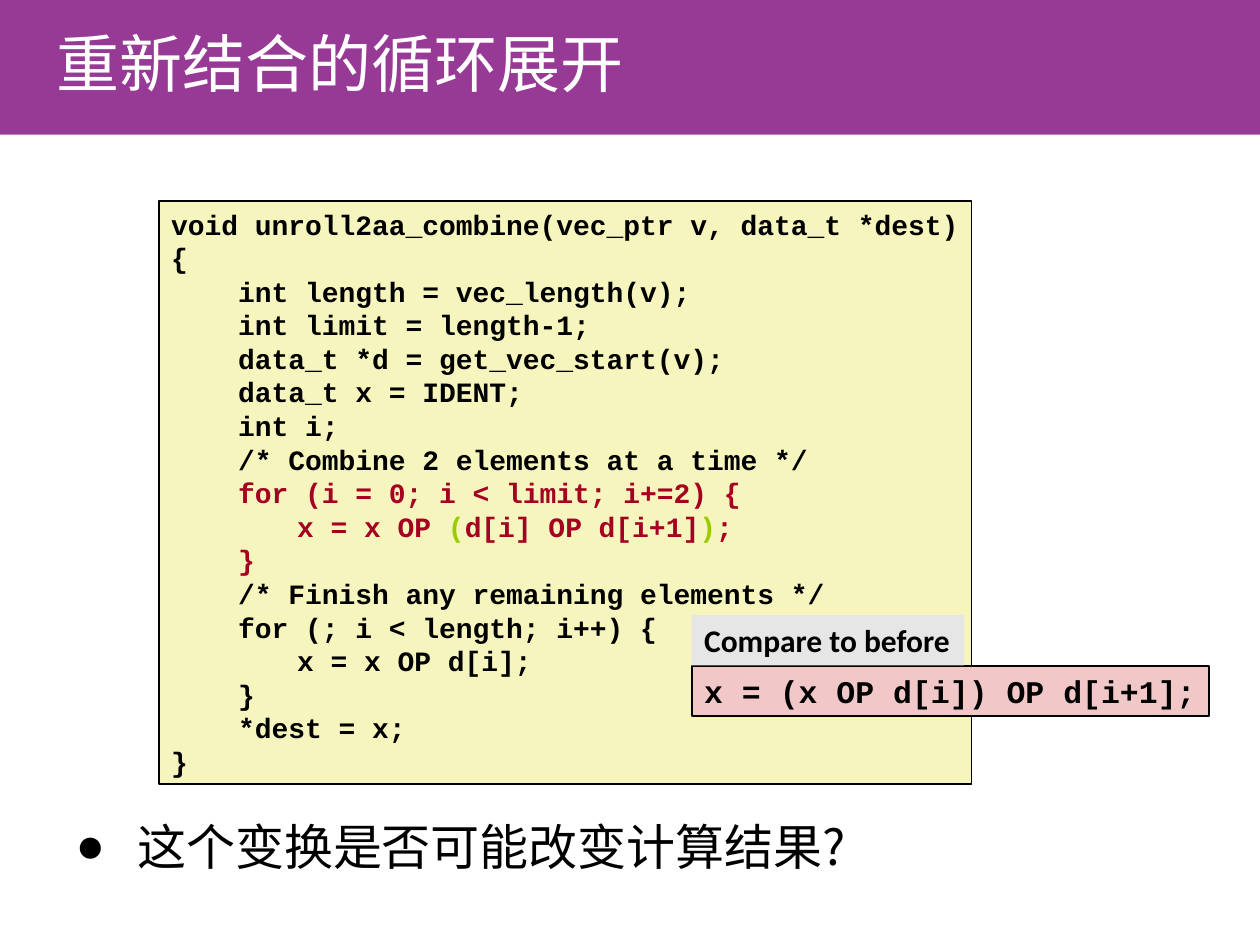
"""Build the slide on loop unrolling with reassociation."""
from dataclasses import dataclass
from typing import Optional

from lxml.etree import SubElement
from pptx import Presentation
from pptx.dml.color import RGBColor
from pptx.enum.shapes import MSO_SHAPE as Shape
from pptx.enum.text import MSO_ANCHOR as Anchor, MSO_AUTO_SIZE as AutoSize, PP_ALIGN as Align
from pptx.oxml.ns import qn
from pptx.util import Pt

WHITE = RGBColor(0xFF, 0xFF, 0xFF)
BLACK = RGBColor(0x00, 0x00, 0x00)
PURPLE = RGBColor(0x97, 0x3A, 0x95)
CREAM = RGBColor(0xF6, 0xF5, 0xBD)
PINK = RGBColor(0xF1, 0xC7, 0xC7)
GREY = RGBColor(0xE6, 0xE6, 0xE6)
RED = RGBColor(0xA5, 0x00, 0x21)
GREEN = RGBColor(0x99, 0xCC, 0x00)

CODE_FONT = "Courier New"
HAN_FONT = "Noto Sans CJK SC"
LINE_RATIO = 1.2
CODE_TAB = 72
BULLET_INDENT = 35.3


@dataclass(frozen=True)
class Span:
    text: str
    color: RGBColor = BLACK


@dataclass(frozen=True)
class Panel:
    left: float
    top: float
    width: float
    height: float
    fill: RGBColor
    line: Optional[RGBColor] = None
    font: str = CODE_FONT
    size: float = 18
    lines: tuple[tuple[Span, ...], ...] = ()


def plain(*texts: str) -> tuple[tuple[Span, ...], ...]:
    return tuple((Span(text),) for text in texts)


CODE = (
    *plain(
        "void unroll2aa_combine(vec_ptr v, data_t *dest)",
        "{",
        "    int length = vec_length(v);",
        "    int limit = length-1;",
        "    data_t *d = get_vec_start(v);",
        "    data_t x = IDENT;",
        "    int i;",
        "    /* Combine 2 elements at a time */",
    ),
    (Span("    "), Span("for (i = 0; i < limit; i+=2) {", RED)),
    (Span("\tx = x OP ", RED), Span("(", GREEN), Span("d[i] OP d[i+1]", RED),
     Span(")", GREEN), Span(";", RED)),
    (Span("    }", RED),),
    *plain(
        "    /* Finish any remaining elements */",
        "    for (; i < length; i++) {",
        "\tx = x OP d[i];",
        "    }",
        "    *dest = x;",
        "}",
    ),
)

TITLE_BAND = Panel(0, -0.7, 720, 77.7, PURPLE)
PANELS = (
    Panel(90.7, 114.8, 464.4, 333.3, CREAM, BLACK, size=16, lines=CODE),
    Panel(395.3, 380.5, 295.5, 28.8, PINK, BLACK,
          lines=plain("x = (x OP d[i]) OP d[i+1];")),
    Panel(395.3, 351.5, 155.5, 28.8, GREY, font="Calibri",
          lines=plain("Compare to before")),
)


def add_span(para, span: Span, font: str, size: float, bold: bool = False) -> None:
    run = para.add_run()
    run.text = span.text
    run.font.name = font
    run.font.size = Pt(size)
    run.font.bold = bold
    run.font.color.rgb = span.color
    SubElement(run.font._element, qn("a:ea"), typeface=font)


def add_tab_stop(para, position: float) -> None:
    stops = SubElement(para._p.get_or_add_pPr(), qn("a:tabLst"))
    SubElement(stops, qn("a:tab"), pos=str(Pt(position)), algn="l")


def add_bullet(para, symbol: str, color: RGBColor, indent: float) -> None:
    properties = para._p.get_or_add_pPr()
    properties.set("marL", str(Pt(indent)))
    properties.set("indent", str(-Pt(indent)))
    bullet_color = SubElement(properties, qn("a:buClr"))
    SubElement(bullet_color, qn("a:srgbClr"), val=str(color))
    SubElement(properties, qn("a:buChar"), char=symbol)


def add_panel(page, panel: Panel):
    box = page.shapes.add_shape(Shape.RECTANGLE, Pt(panel.left), Pt(panel.top),
                                Pt(panel.width), Pt(panel.height))
    box.shadow.inherit = False
    box.fill.solid()
    box.fill.fore_color.rgb = panel.fill
    if panel.line is None:
        box.line.fill.background()
    else:
        box.line.color.rgb = panel.line
        box.line.width = Pt(1)
    frame = box.text_frame
    frame.word_wrap = False
    frame.vertical_anchor = Anchor.TOP
    for index, spans in enumerate(panel.lines):
        para = frame.add_paragraph() if index else frame.paragraphs[0]
        add_tab_stop(para, CODE_TAB)
        para.alignment = Align.LEFT
        para.line_spacing = Pt(panel.size * LINE_RATIO)
        for span in spans:
            add_span(para, span, panel.font, panel.size, bold=True)
    return box


def place(holder, left: float, top: float, width: float, height: float, anchor: Anchor):
    holder.left, holder.top = Pt(left), Pt(top)
    holder.width, holder.height = Pt(width), Pt(height)
    frame = holder.text_frame
    frame.auto_size = AutoSize.NONE
    frame.vertical_anchor = anchor
    para = frame.paragraphs[0]
    para.alignment = Align.LEFT
    para.space_before = Pt(0)
    return para


def main() -> None:
    deck = Presentation()
    deck.slide_width, deck.slide_height = Pt(720), Pt(540)
    page = deck.slides.add_slide(deck.slide_layouts[1])

    band = add_panel(page, TITLE_BAND)
    page.shapes.title._element.addprevious(band._element)

    heading = place(page.shapes.title, 25.2, 5.8, 654.5, 59.8, Anchor.MIDDLE)
    add_span(heading, Span("重新结合的循环展开", WHITE), HAN_FONT, 36)

    question = place(page.placeholders[1], 36, 463, 625, 45.4, Anchor.TOP)
    add_bullet(question, "●", BLACK, BULLET_INDENT)
    add_span(question, Span("这个变换是否可能改变计算结果?"), HAN_FONT, 28)

    for panel in PANELS:
        add_panel(page, panel)
    deck.save("out.pptx")


if __name__ == "__main__":
    main()
